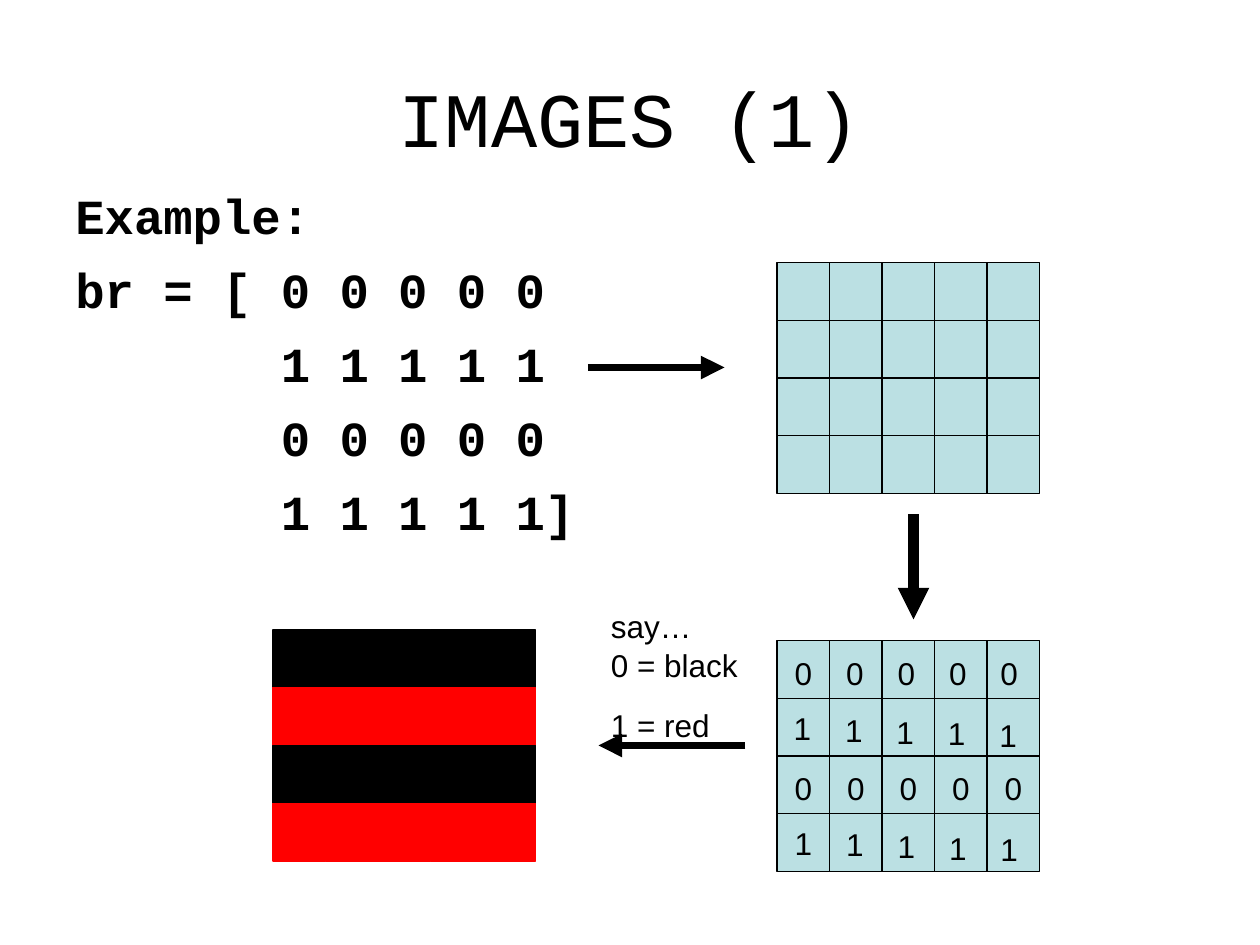
from lxml import etree
from pptx import Presentation, util as u
from pptx.dml.color import RGBColor
from pptx.enum import shapes, text
from pptx.oxml.ns import qn

# Layout grid: 120 columns by 90 rows, both a twelfth of an inch
UNIT = u.Inches(1) // 12
COLS, ROWS = 120, 90
CELL_W, CELL_H = 5, 5.5
BLACK, RED, PALE = "000000", "FF0000", "BBE0E3"
MATRIX = ["00000", "11111", "00000", "11111"]


def grid(*lengths):
    return [u.Emu(round(n * UNIT)) for n in lengths]


def colour(value):
    return RGBColor.from_string(value)


def add_run(paragraph, words, size, font, bold=False):
    run = paragraph.add_run()
    run.text = words
    run.font.size, run.font.name, run.font.bold = u.Pt(size), font, bold
    run.font.color.rgb = colour(BLACK)


def add_text(slide, box, paragraphs, size, font, before=0, bold=False):
    """Each paragraph is a list of lines parted by line breaks."""
    frame = slide.shapes.add_textbox(*grid(*box)).text_frame
    frame.word_wrap = True
    for i, lines in enumerate(paragraphs):
        paragraph = frame.add_paragraph() if i else frame.paragraphs[0]
        paragraph.line_spacing = 1.05
        paragraph.space_before = u.Pt(before if i else 0)
        for j, line in enumerate(lines):
            if j:
                paragraph.add_line_break()
            add_run(paragraph, line, size, font, bold)


def add_title(slide, box, words):
    title = slide.shapes.title
    title.left, title.top, title.width, title.height = grid(*box)
    frame = title.text_frame
    frame.vertical_anchor = text.MSO_ANCHOR.MIDDLE
    paragraph = frame.paragraphs[0]
    paragraph.alignment = text.PP_ALIGN.CENTER
    add_run(paragraph, words, 44, "Courier New")


def add_pixels(parent, left, top, fills, outlines):
    """Draw the matrix as cells; fills and outlines are keyed by its values."""
    for r, row in enumerate(MATRIX):
        for c, value in enumerate(row):
            box = (left + c * CELL_W, top + r * CELL_H, CELL_W, CELL_H)
            pixel = parent.add_shape(shapes.MSO_SHAPE.RECTANGLE, *grid(*box))
            pixel.shadow.inherit = False
            pixel.fill.solid()
            pixel.fill.fore_color.rgb = colour(fills[value])
            pixel.line.color.rgb = colour(outlines[value])
            pixel.line.width = u.Pt(0.75)


def add_pale_grid(slide, left, top):
    add_pixels(slide.shapes.add_group_shape().shapes, left, top,
               {"0": PALE, "1": PALE}, {"0": BLACK, "1": BLACK})


def add_digits(slide, left, top):
    # Offset of the first digit, then the step from digit to digit
    rows = [(0.5, 0.5, 4.9, 0), (0.4, 5.8, 4.9, 0.15),
            (0.5, 11.5, 5, 0), (0.5, 16.7, 4.9, 0.15)]
    for values, (dx, dy, step_x, step_y) in zip(MATRIX, rows):
        for c, digit in enumerate(values):
            box = (left + dx + c * step_x, top + dy + c * step_y, 4, 4.8)
            add_text(slide, box, [[digit]], 18, "Arial")


def add_arrow(slide, start, end, width):
    arrow = slide.shapes.add_connector(
        shapes.MSO_CONNECTOR.STRAIGHT, *grid(*start, *end))
    arrow.line.color.rgb = colour(BLACK)
    arrow.line.width = u.Pt(width)
    etree.SubElement(arrow.line._get_or_add_ln(), qn("a:tailEnd"), type="triangle")
    etree.SubElement(arrow._element.spPr, qn("a:effectLst"))


def main():
    deck = Presentation()
    deck.slide_width, deck.slide_height = grid(COLS, ROWS)
    slide = deck.slides.add_slide(deck.slide_layouts[5])

    # Title and matrix code
    add_title(slide, (0, 3.6, COLS, 15), "IMAGES (1)")
    code = ["Example:", "br = [ 0 0 0 0 0", "       1 1 1 1 1",
            "       0 0 0 0 0", "       1 1 1 1 1]"]
    add_text(slide, (6, 16.8, 114, 65), [[line] for line in code],
             28, "Courier New", before=7, bold=True)

    # Empty grid
    add_arrow(slide, (56, 35), (69, 35), 4.5)
    add_pale_grid(slide, 74, 25)

    # Grid with values
    add_arrow(slide, (87, 49), (87, 59), 6)
    add_pale_grid(slide, 74, 61)
    add_digits(slide, 74, 61)

    # Colour key and coloured image
    add_arrow(slide, (71, 71), (57, 71), 4.5)
    add_text(slide, (57, 57, 25, 14), [["say…", "0 = black"], ["1 = red"]],
             18, "Arial", before=11.2)
    key = {"0": BLACK, "1": RED}
    add_pixels(slide.shapes, 26, 60, key, key)

    deck.save("out.pptx")


if __name__ == "__main__":
    main()
